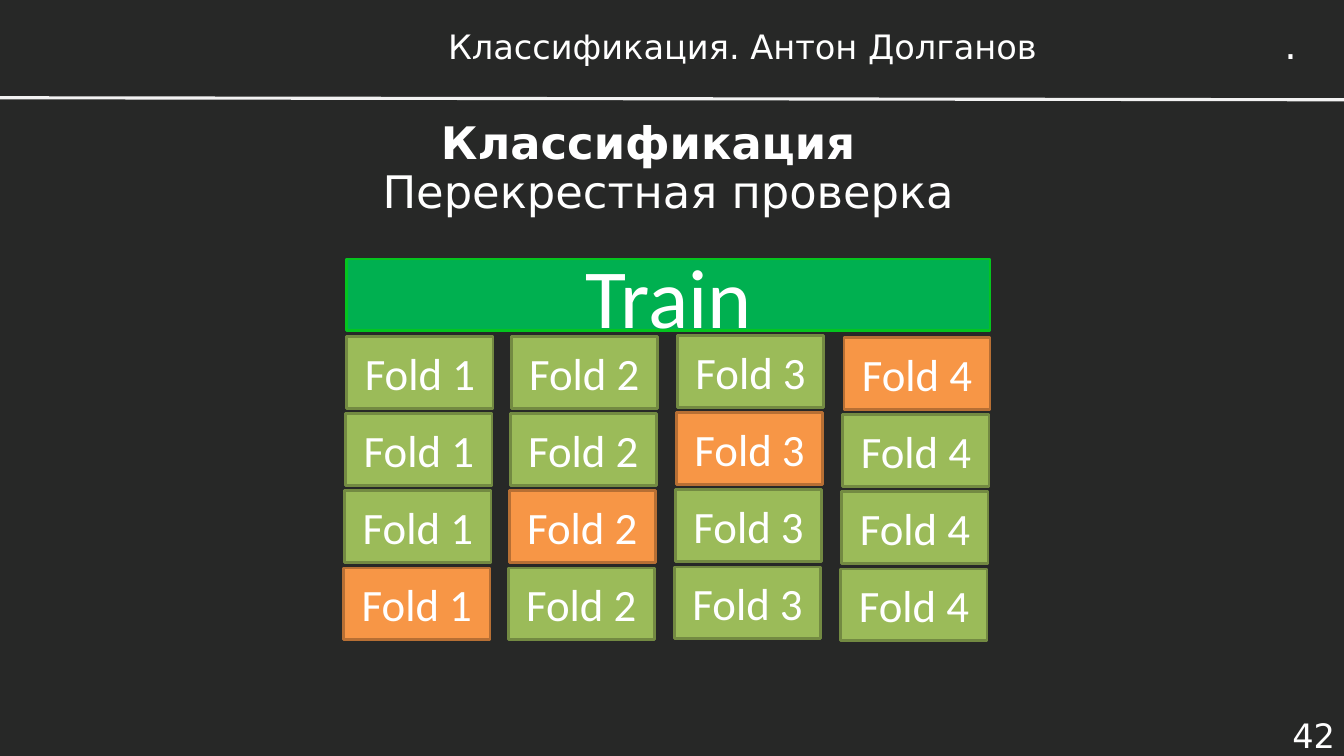
from lxml.etree import SubElement
from pptx import Presentation
from pptx.dml.color import RGBColor
from pptx.enum.shapes import MSO_CONNECTOR, MSO_SHAPE
from pptx.enum.text import MSO_ANCHOR as Anchor, PP_ALIGN as Align
from pptx.oxml.ns import qn
from pptx.util import Inches, Pt

BACKGROUND = "272827"
WHITE = "FFFFFF"
TRAIN_COLORS = ("00B050", "04C41F")
FOLD_COLORS = ("9BBB59", "738A42")
TEST_COLORS = ("F79646", "B76F34")

FOLD_COUNT = 4
FOLD_LEFTS = (3.44, 5.07, 6.72, 8.37)
FOLD_TOPS = (3.34, 3.34, 3.33, 3.35)
ROW_STEP = 0.765
ROW_SHIFT = 0.01
FOLD_WIDTH, BAR_HEIGHT = 1.45, 0.71


def color(hex_code):
    return RGBColor.from_string(hex_code)


def write(shape, text, size, font_name, align, anchor=Anchor.MIDDLE, bold=False):
    shape.text_frame.vertical_anchor = anchor
    paragraph = shape.text_frame.paragraphs[0]
    paragraph.alignment = align
    run = paragraph.add_run()
    run.text = text
    run.font.size = Pt(size)
    run.font.name = font_name
    run.font.bold = bold
    run.font.color.rgb = color(WHITE)


def add_label(slide, box, text, size, align=Align.CENTER, wrap=True, **style):
    label = slide.shapes.add_textbox(*map(Inches, box))
    label.text_frame.word_wrap = wrap
    write(label, text, size, "DejaVu Sans", align, **style)


def add_bar(slide, box, text, size, colors):
    """Add a captioned rectangle; colors holds its fill and its outline."""
    bar = slide.shapes.add_shape(MSO_SHAPE.RECTANGLE, *map(Inches, box))
    fill, outline = colors
    bar.shadow.inherit = False
    bar.fill.solid()
    bar.fill.fore_color.rgb = color(fill)
    bar.line.color.rgb = color(outline)
    bar.line.width = Pt(2)
    write(bar, text, size, "Calibri", Align.CENTER)


def add_header_rule(slide):
    ends = map(Inches, (0, 0.97, 13.33, 0.99))
    rule = slide.shapes.add_connector(MSO_CONNECTOR.STRAIGHT, *ends)
    rule.line.color.rgb = color("F2F2F2")
    rule.line.width = Pt(2.25)
    SubElement(rule._element.spPr, qn("a:effectLst"))


def add_fold_grid(slide):
    """Draw one row per round; the test fold moves left from row to row."""
    for row in range(FOLD_COUNT):
        for column, (left, top) in enumerate(zip(FOLD_LEFTS, FOLD_TOPS)):
            is_test = row + column == FOLD_COUNT - 1
            box = (left - row * ROW_SHIFT, top + row * ROW_STEP,
                   FOLD_WIDTH, BAR_HEIGHT)
            add_bar(slide, box, f"Fold {column + 1}", 32,
                    TEST_COLORS if is_test else FOLD_COLORS)


def main():
    presentation = Presentation()
    presentation.slide_width = Inches(13.33)
    presentation.slide_height = Inches(7.5)
    slide = presentation.slides.add_slide(presentation.slide_layouts[6])
    slide.background.fill.solid()
    slide.background.fill.fore_color.rgb = color(BACKGROUND)

    add_label(slide, (12.29, 7.08, 1.05, 0.42), "42", 24, align=Align.RIGHT)
    add_label(slide, (3.44, 0.19, 7.85, 0.53), "Классификация. Антон Долганов", 24)
    add_header_rule(slide)
    add_label(slide, (12.64, 0.15, 0.34, 0.57), ".", 28, align=Align.LEFT,
              wrap=False, anchor=Anchor.TOP)
    add_label(slide, (2.1, 0.95, 8.66, 0.91), "Классификация", 32, bold=True)
    add_label(slide, (2.34, 1.44, 8.58, 0.91), "Перекрестная проверка", 32)

    add_bar(slide, (3.44, 2.57, 6.38, BAR_HEIGHT), "Train", 60, TRAIN_COLORS)
    add_fold_grid(slide)
    presentation.save("out.pptx")


if __name__ == "__main__":
    main()
